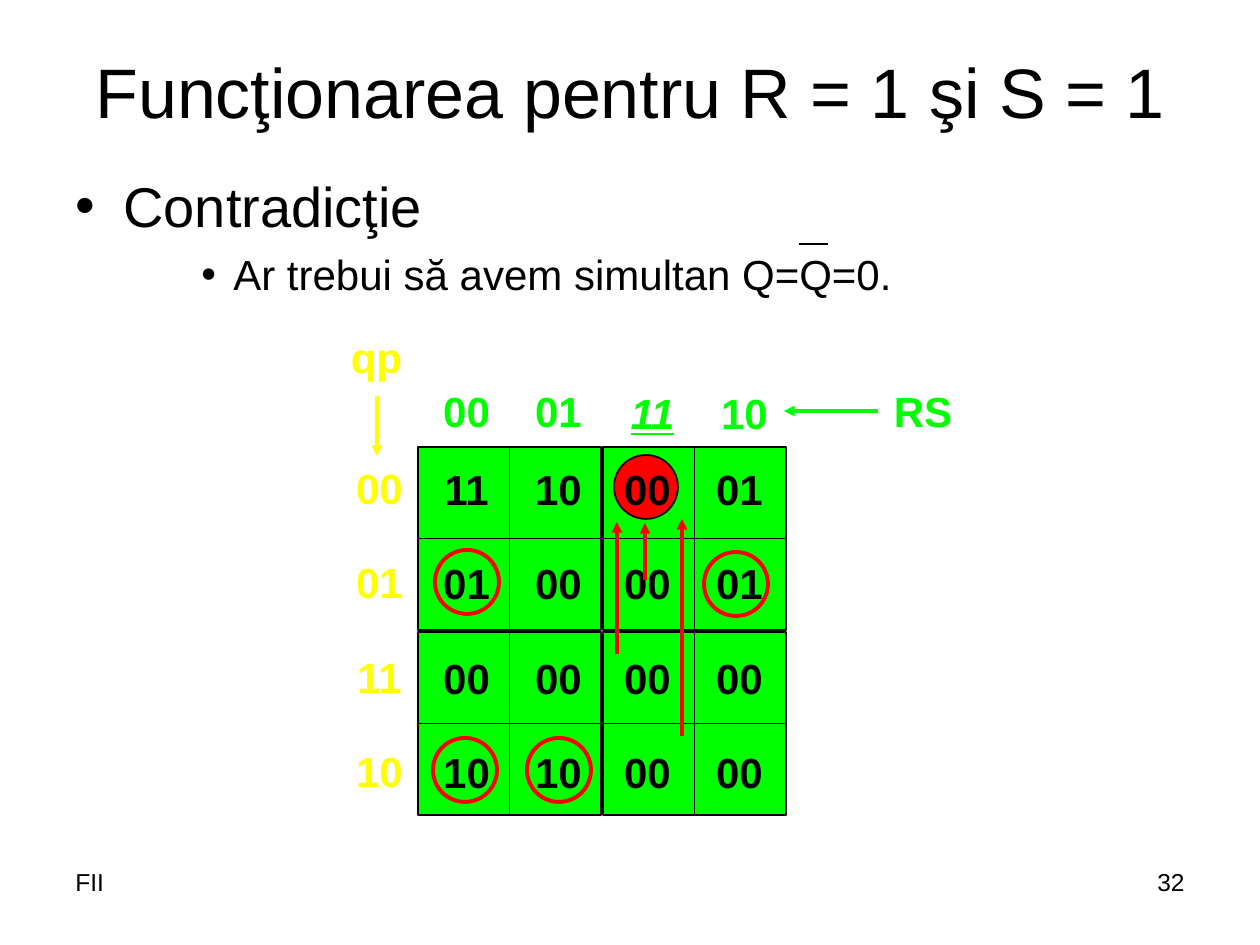
from lxml import etree
from pptx import Presentation
from pptx import util as u
from pptx.dml.color import RGBColor
from pptx.enum import shapes, text
from pptx.oxml.ns import qn

SCALE = 914400 / 126  # EMU in one px
COLORS = {"ink": "000000", "green": "00FF00", "yellow": "FFFF00", "red": "FF0000"}
FONT = "Arial"

# Karnaugh map
LEFT, TOP, BLOCK, BLOCK_STEP = 418, 447, 183, 185
CELL_W, CELL_H, ROW_STEP = 81, 63, 94.5
COLUMNS = (426, 518, 607, 699)
CELLS = (
    ("11", "10", "00", "01"),
    ("01", "00", "00", "01"),
    ("00", "00", "00", "00"),
    ("10", "10", "00", "00"),
)
ROW_LABELS = ("00", "01", "11", "10")
HEADERS = (("00", 426, 379), ("01", 518, 379), ("11", 612, 381), ("10", 704, 381))
RING = 64
RINGS = ((435, 550), (704, 552), (433, 738), (527, 738))
ARROWS = (
    ("yellow", 377, 396, 377, 456),
    ("green", 878, 411, 784, 411),
    ("red", 645, 580, 645, 523),
    ("red", 617, 654, 617, 522),
    ("red", 682, 736, 682, 519),
)


def px(value):
    return u.Emu(round(value * SCALE))


def rgb(name):
    return RGBColor.from_string(COLORS[name])


def add_text(page, words, area, color="ink", align="CENTER", anchor="TOP", grow=False, **font):
    """Add a text box with one paragraph for each item of words."""
    box = page.shapes.add_textbox(*map(px, area))
    frame = box.text_frame
    settings = {
        "word_wrap": True,
        "auto_size": text.MSO_AUTO_SIZE.SHAPE_TO_FIT_TEXT if grow else text.MSO_AUTO_SIZE.NONE,
        "vertical_anchor": getattr(text.MSO_ANCHOR, anchor),
    }
    for name, value in settings.items():
        setattr(frame, name, value)
    para = frame.paragraphs[0]
    para.alignment = getattr(text.PP_ALIGN, align)
    add_span(para, words, color, **font)
    return box


def add_span(para, words, color="ink", size=24, **font):
    span = para.add_run()
    span.text = words
    for name, value in {"name": FONT, "size": u.Pt(size), **font}.items():
        setattr(span.font, name, value)
    span.font.color.rgb = rgb(color)


def add_bullet(para, margin, hang):
    props = para._p.get_or_add_pPr()
    props.set("marL", str(px(margin)))
    props.set("indent", str(-px(hang)))
    etree.SubElement(props, qn("a:buFont"), typeface=FONT)
    etree.SubElement(props, qn("a:buChar"), char="•")


def add_figure(page, kind, area, line, width, fill=None):
    shape = page.shapes.add_shape(kind, *map(px, area))
    shape.shadow.inherit = False
    if fill:
        shape.fill.solid()
        shape.fill.fore_color.rgb = rgb(fill)
    else:
        shape.fill.background()
    shape.line.color.rgb = rgb(line)
    shape.line.width = u.Pt(width)
    return shape


def add_line(page, ends, color="ink", width=1.0, arrow=False):
    line = page.shapes.add_connector(shapes.MSO_CONNECTOR.STRAIGHT, *map(px, ends))
    line.line.color.rgb = rgb(color)
    line.line.width = u.Pt(width)
    if arrow:
        etree.SubElement(line.line._get_or_add_ln(), qn("a:tailEnd"), type="triangle")
    etree.SubElement(line._element.spPr, qn("a:effectLst"))
    return line


def add_block(page, left, top):
    """Add a two by two block of the map with its dividers."""
    block = add_figure(page, shapes.MSO_SHAPE.RECTANGLE, (left, top, BLOCK, BLOCK), "ink", 1, "green")
    for start, end in ((0, 2), (1, 3)):
        divider = add_line(page, (left, top, left, top))
        divider.begin_connect(block, start)
        divider.end_connect(block, end)


def add_label(page, words, left, top, color="ink", width=CELL_W, **font):
    add_text(page, words, (left, top, width, CELL_H), color, grow=True, bold=True, **font)


def add_body(page):
    box = add_text(page, "Contradicţie", (63, 165, 1134, 680), align="LEFT", size=32)
    first = box.text_frame.paragraphs[0]
    add_bullet(first, 48, 48)
    second = box.text_frame.add_paragraph()
    second.level = 2
    second.space_before = u.Pt(6)
    add_bullet(second, 158, 32)
    add_span(second, "Ar trebui să avem simultan Q=Q=0.")
    # Bar over the second Q
    add_line(page, (799, 244, 828, 244), width=0.75)


def add_map(page):
    for row in range(2):
        for column in range(2):
            add_block(page, LEFT + column * BLOCK_STEP, TOP + row * BLOCK_STEP)

    # Stable states and the contradictory one
    for left, top in RINGS:
        add_figure(page, shapes.MSO_SHAPE.OVAL, (left, top, RING, RING), "red", 2.25)
    add_figure(page, shapes.MSO_SHAPE.OVAL, (614, 455, RING, RING), "ink", 1, "red")

    # Cell values and row labels
    for row, (label, values) in enumerate(zip(ROW_LABELS, CELLS)):
        top = 457 + row * ROW_STEP
        for left, value in zip(COLUMNS, values):
            add_label(page, value, left, top)
        add_label(page, label, 339, top - 1, "yellow")

    # Column headers and variable names
    for label, left, top in HEADERS:
        marked = label == "11"
        add_label(page, label, left, top, "green", italic=marked, underline=marked)
    add_label(page, "qp", 336, 325, "yellow")
    add_label(page, "RS", 848, 379, "green", width=150)

    for color, *ends in ARROWS:
        add_line(page, ends, color, 2, arrow=True)


def main():
    deck = Presentation()
    deck.slide_width, deck.slide_height = px(1260), px(945)
    page = deck.slides.add_slide(deck.slide_layouts[6])

    add_body(page)
    add_map(page)
    add_text(page, "Funcţionarea pentru R = 1 şi S = 1", (63, 26, 1134, 129), anchor="MIDDLE", size=40)

    # Footer
    add_text(page, "32", (903, 861, 294, 66), align="RIGHT", size=14)
    add_text(page, "FII", (63, 861, 294, 66), align="LEFT", size=14)
    deck.save("out.pptx")


if __name__ == "__main__":
    main()
